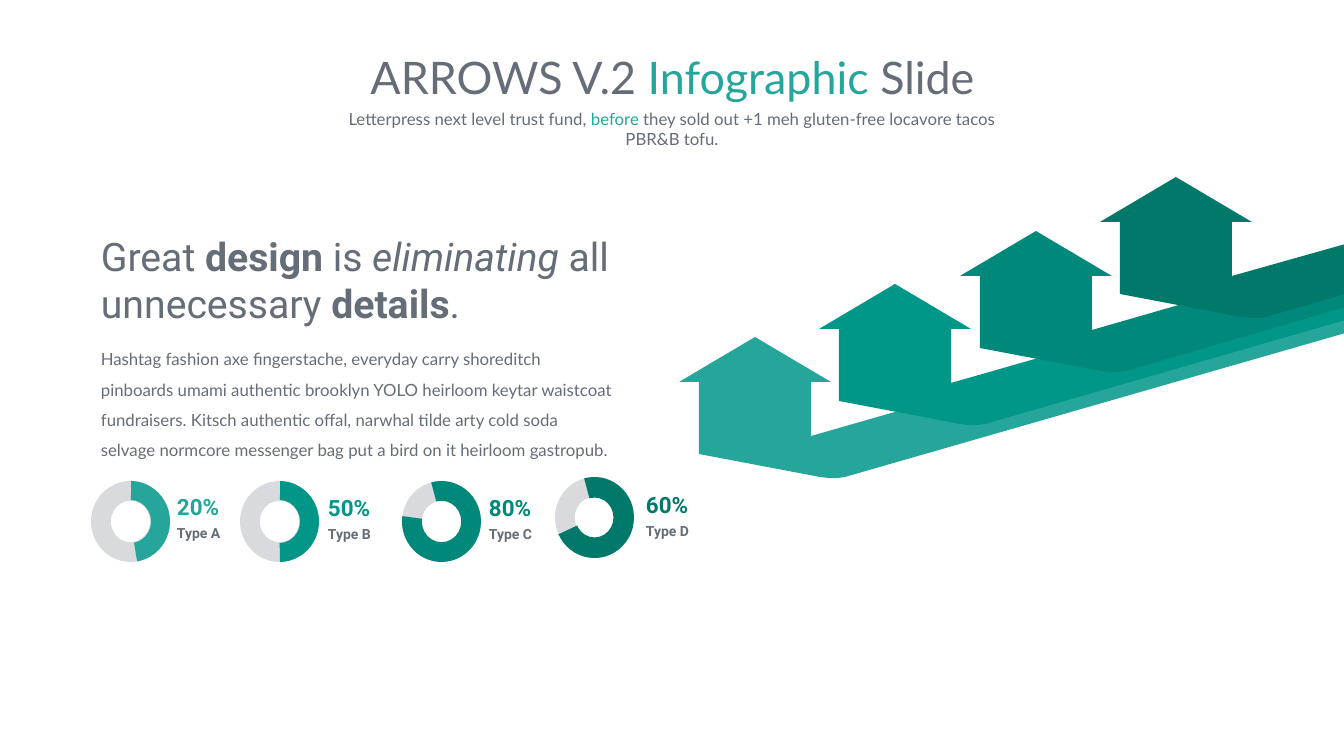
"""Build the arrows infographic slide with four arrows and four ring gauges."""
from typing import NamedTuple

from pptx import Presentation
from pptx.dml.color import RGBColor
from pptx.enum.shapes import MSO_SHAPE as Preset
from pptx.enum.text import MSO_ANCHOR as Anchor, MSO_AUTO_SIZE as AutoSize, PP_ALIGN as Align
from pptx.util import Pt

EMU_PER_PX = 914400 / 100.8
ADJUSTMENT_PER_DEGREE = 0.6
WHITE = RGBColor(0xFF, 0xFF, 0xFF)
GREY = RGBColor(0x65, 0x6D, 0x78)
RING = RGBColor(0xD8, 0xDA, 0xDD)
TEAL_A = RGBColor(0x26, 0xA6, 0x9A)
TEAL_B = RGBColor(0x00, 0x96, 0x88)
TEAL_C = RGBColor(0x00, 0x89, 0x7B)
TEAL_D = RGBColor(0x00, 0x79, 0x6B)

TAIL_X, TAIL_HEIGHT = 1349, 50
HEAD_POINTS = [(-76, 45), (0, 0), (76, 45), (56, 45), (56, 99)]
BASE_POINTS = [(90, 140), (83, 141), (74, 141), (65, 140), (-56, 117), (-56, 45)]
GAUGE_WIDTH, GAUGE_HEIGHT = 79, 81


class Span(NamedTuple):
    text: str
    color: RGBColor = GREY
    bold: bool = False
    italic: bool = False


class Arrow(NamedTuple):
    tip_x: int
    tip_y: int
    tail_y: int
    color: RGBColor


class Gauge(NamedTuple):
    left: int
    top: int
    label_left: int
    label_top: int
    start: float
    end: float
    thickness: float
    value: str
    name: str
    color: RGBColor


ARROWS = [
    Arrow(755, 337, 282, TEAL_A),
    Arrow(895, 284, 269, TEAL_B),
    Arrow(1036, 231, 256, TEAL_C),
    Arrow(1176, 177, 243, TEAL_D),
]
GAUGES = [
    Gauge(555, 477, 646, 494, 255.23, 155.07, 0.26, "60%", "Type D", TEAL_D),
    Gauge(91, 481, 177, 496, 271.06, 80.55, 0.24, "20%", "Type A", TEAL_A),
    Gauge(240, 481, 328, 497, 271.06, 89.44, 0.24, "50%", "Type B", TEAL_B),
    Gauge(402, 481, 489, 497, 255.23, 187.88, 0.25, "80%", "Type C", TEAL_C),
]
TITLE = [Span("ARROWS V.2 "), Span("Infographic ", TEAL_A), Span("Slide")]
SUBTITLE = [
    Span("Letterpress next level trust fund, "),
    Span("before", TEAL_A),
    Span(" they sold out +1 meh gluten-free locavore tacos PBR&B tofu."),
]
HEADING = [
    Span("Great "),
    Span("design", bold=True),
    Span(" is "),
    Span("eliminating", italic=True),
    Span(" all unnecessary "),
    Span("details", bold=True),
    Span("."),
]
BODY = [Span(
    "Hashtag fashion axe fingerstache, everyday carry shoreditch pinboards umami authentic "
    "brooklyn YOLO heirloom keytar waistcoat fundraisers. Kitsch authentic offal, narwhal "
    "tilde arty cold soda selvage normcore messenger bag put a bird on it heirloom gastropub."
)]


def px(length: int) -> int:
    """Turn pixels into EMU."""
    return round(length * EMU_PER_PX)


def paint(shape, color: RGBColor) -> None:
    """Give a shape a flat fill with no outline or shadow."""
    shape.shadow.inherit = False
    shape.fill.solid()
    shape.fill.fore_color.rgb = color
    shape.line.fill.background()


def write(box, spans: list[Span], font: str, size: int, align=Align.LEFT, spacing=1.0) -> None:
    """Fill a box with one paragraph of formatted spans."""
    frame = box.text_frame
    frame.word_wrap = True
    frame.vertical_anchor = Anchor.TOP
    para = frame.paragraphs[0]
    para.alignment = align
    para.line_spacing = spacing
    for span in spans:
        run = para.add_run()
        run.text = span.text
        run.font.name = font
        run.font.size = Pt(size)
        run.font.color.rgb = span.color
        run.font.bold = span.bold
        run.font.italic = span.italic


def add_box(slide, left: int, top: int, width: int, height: int):
    """Add an empty text box measured in pixels."""
    return slide.shapes.add_textbox(px(left), px(top), px(width), px(height))


def add_arrow(slide, arrow: Arrow) -> None:
    """Draw an upright arrow whose tail runs to the right edge."""
    head, base = (
        [(arrow.tip_x + x, arrow.tip_y + y) for x, y in points]
        for points in (HEAD_POINTS, BASE_POINTS)
    )
    tail = [(TAIL_X, arrow.tail_y), (TAIL_X, arrow.tail_y + TAIL_HEIGHT)]
    builder = slide.shapes.build_freeform(*head[0], scale=EMU_PER_PX)
    builder.add_line_segments(head[1:] + tail + base, close=True)
    paint(builder.convert_to_shape(), arrow.color)


def add_gauge(slide, gauge: Gauge) -> None:
    """Draw a ring, its coloured arc and its two labels."""
    frame = px(gauge.left), px(gauge.top), px(GAUGE_WIDTH), px(GAUGE_HEIGHT)
    paint(slide.shapes.add_shape(Preset.DONUT, *frame), RING)
    arc = slide.shapes.add_shape(Preset.BLOCK_ARC, *frame)
    arc.adjustments[0] = gauge.start * ADJUSTMENT_PER_DEGREE
    arc.adjustments[1] = gauge.end * ADJUSTMENT_PER_DEGREE
    arc.adjustments[2] = gauge.thickness
    paint(arc, gauge.color)
    labels = [(gauge.value, gauge.color, 16, 0, 29), (gauge.name, GREY, 10, 30, 23)]
    for text, color, size, drop, height in labels:
        box = add_box(slide, gauge.label_left, gauge.label_top + drop, 49, height)
        inner = box.text_frame
        inner.margin_left = inner.margin_right = inner.margin_top = inner.margin_bottom = 0
        write(box, [Span(text, color, bold=True)], "Roboto", size, spacing=0.9)


def main() -> None:
    """Build and save the deck."""
    deck = Presentation()
    deck.slide_width, deck.slide_height = px(1344), px(756)
    slide = deck.slides.add_slide(deck.slide_layouts[5])
    slide.background.fill.solid()
    slide.background.fill.fore_color.rgb = WHITE

    title = slide.shapes.title
    title.left, title.top, title.width, title.height = px(256), px(45), px(833), px(65)
    title.text_frame.auto_size = AutoSize.SHAPE_TO_FIT_TEXT
    write(title, TITLE, "Lato", 32, Align.CENTER)
    write(add_box(slide, 322, 104, 700, 30), SUBTITLE, "Lato", 12, Align.CENTER)

    for arrow in ARROWS:
        add_arrow(slide, arrow)
    write(add_box(slide, 91, 227, 550, 105), HEADING, "Roboto", 28)
    write(add_box(slide, 91, 334, 536, 132), BODY, "Lato", 12, spacing=1.5)
    for gauge in GAUGES:
        add_gauge(slide, gauge)
    deck.save("out.pptx")


if __name__ == "__main__":
    main()
